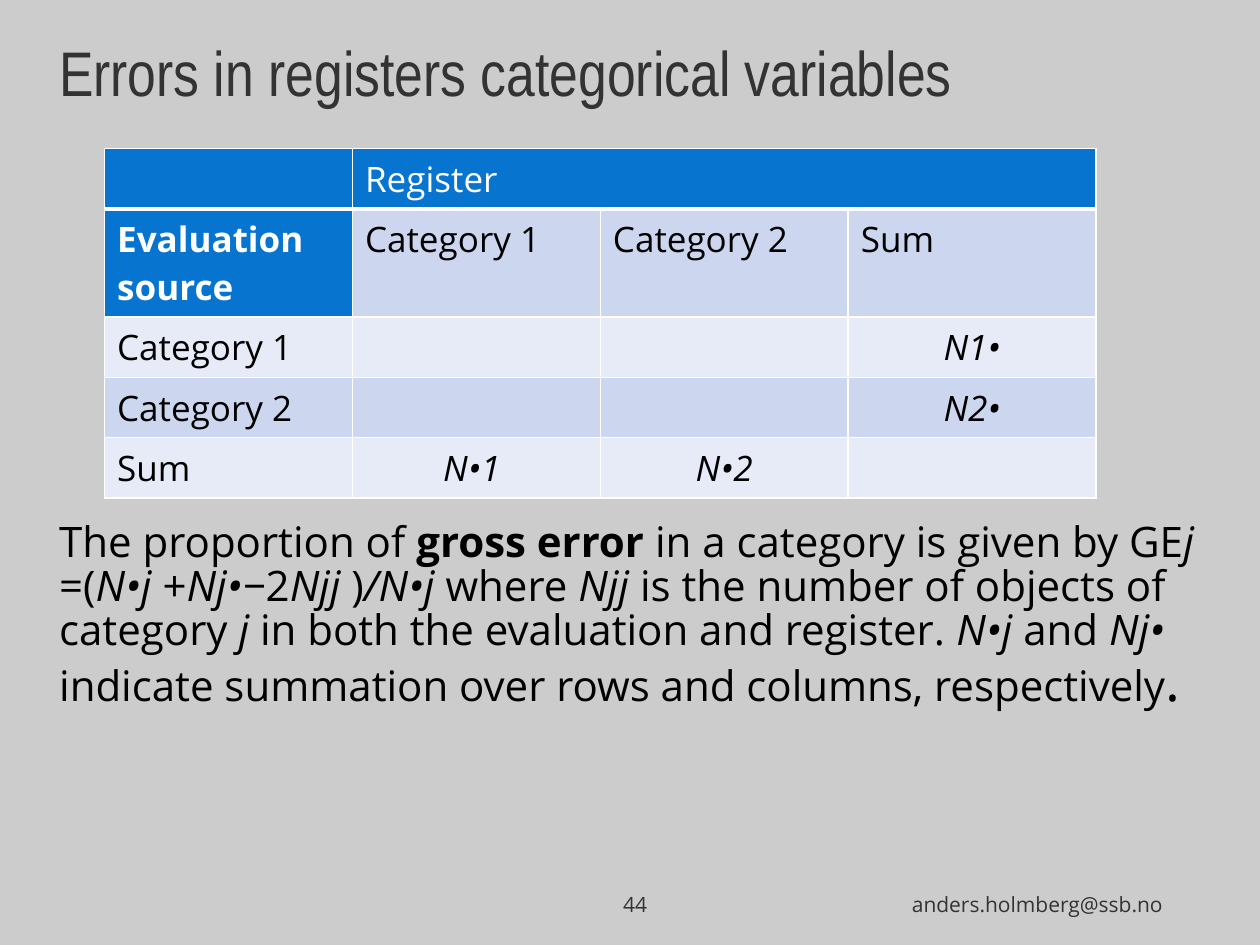
from lxml import etree
from pptx import Presentation
from pptx.dml.color import RGBColor
from pptx.enum import text
from pptx.oxml.ns import qn
from pptx.util import Inches, Pt

COLORS = {
    "background": "CCCCCC", "grey": "333333", "black": "000000",
    "white": "FFFFFF", "header": "0774D0", "band": "CCD6EE",
    "light": "E7EBF7",
}
LEFT, CENTER, RIGHT = text.PP_ALIGN.LEFT, text.PP_ALIGN.CENTER, text.PP_ALIGN.RIGHT


def color(name):
    return RGBColor.from_string(COLORS[name])


class SlideBuilder:
    title_font = "Arial Narrow"
    body_font = "Open Sans"

    def __init__(self, presentation):
        self.slide = presentation.slides.add_slide(presentation.slide_layouts[5])
        fill = self.slide.background.fill
        fill.solid()
        fill.fore_color.rgb = color("background")

    def format_font(self, font, size, color_name, name=None, bold=False, italic=False):
        font.name = name or self.body_font
        font.size = Pt(size)
        font.color.rgb = color(color_name)
        font.bold, font.italic = bold, italic

    def set_frame(self, frame, insets, anchor):
        frame.word_wrap = True
        frame.auto_size = text.MSO_AUTO_SIZE.NONE
        frame.vertical_anchor = anchor
        (frame.margin_left, frame.margin_top,
         frame.margin_right, frame.margin_bottom) = map(Inches, insets)

    def title(self, words, left, top, width, height):
        shape = self.slide.shapes.title
        shape.left, shape.top = Inches(left), Inches(top)
        shape.width, shape.height = Inches(width), Inches(height)
        frame = shape.text_frame
        self.set_frame(frame, (0.47, 0.05, 0.47, 0.05), text.MSO_ANCHOR.MIDDLE)
        frame.text = words
        paragraph = frame.paragraphs[0]
        paragraph.alignment = LEFT
        self.format_font(paragraph.runs[0].font, 36, "grey", self.title_font)

    def textbox(self, box, insets=(0.1, 0.05, 0.1, 0.05), anchor=text.MSO_ANCHOR.MIDDLE):
        shape = self.slide.shapes.add_textbox(*map(Inches, box))
        self.set_frame(shape.text_frame, insets, anchor)
        return shape.text_frame

    def body(self, runs, box):
        """Add one paragraph from (words, style, size) runs."""
        frame = self.textbox(box, (0.47, 0.16, 0.1, 0.08), text.MSO_ANCHOR.TOP)
        paragraph = frame.paragraphs[0]
        paragraph.line_spacing = 0.88
        for words, style, size in runs:
            run = paragraph.add_run()
            run.text = words
            self.format_font(run.font, size, "black",
                             bold=style == "bold", italic=style == "italic")

    def footer(self, words, box, alignment):
        frame = self.textbox(box)
        frame.text = words
        paragraph = frame.paragraphs[0]
        paragraph.alignment = alignment
        self.format_font(paragraph.runs[0].font, 12, "grey")

    def cell_borders(self, cell, bottom):
        properties = cell._tc.get_or_add_tcPr()
        for side, points in (("L", 1), ("R", 1), ("T", 1), ("B", bottom)):
            line = etree.SubElement(properties, qn(f"a:ln{side}"), w=str(Pt(points)))
            fill = etree.SubElement(line, qn("a:solidFill"))
            etree.SubElement(fill, qn("a:srgbClr"), val=COLORS["white"])

    def table(self, rows, box, row_heights):
        """Sums, which contain a dot, are centred and italic."""
        columns = len(rows[0])
        table = self.slide.shapes.add_table(len(rows), columns, *map(Inches, box)).table
        for row, height in zip(table.rows, row_heights):
            row.height = Inches(height)
        for r, row in enumerate(rows):
            for c, words in enumerate(row):
                cell = table.cell(r, c)
                is_header = r == 0 or (r, c) == (1, 0)
                is_sum = "•" in words
                self.cell_borders(cell, 3 if r == 0 else 1)
                cell.fill.solid()
                cell.fill.fore_color.rgb = color(
                    "header" if is_header else "band" if r % 2 else "light")
                cell.text_frame.text = words
                paragraph = cell.text_frame.paragraphs[0]
                paragraph.alignment = CENTER if is_sum else LEFT
                for run in paragraph.runs:
                    self.format_font(run.font, 20, "white" if is_header else "black",
                                     bold=is_header and r == 1, italic=is_sum)
        table.cell(0, 1).merge(table.cell(0, columns - 1))


def main():
    presentation = Presentation()
    presentation.slide_width, presentation.slide_height = Inches(10), Inches(7.5)
    builder = SlideBuilder(presentation)
    builder.title("Errors in registers categorical variables", 0, -0.06, 10, 1.25)

    body_runs = [
        ("The proportion of ", "", 24), ("gross error ", "bold", 24),
        ("in a category is given by GE", "", 24), ("j ", "italic", 24),
        ("=(", "", 24), ("N•j ", "italic", 24), ("+", "", 24),
        ("Nj•−", "italic", 24), ("2", "", 24), ("Njj ", "italic", 24),
        (")", "", 24), ("/N•j ", "italic", 24), ("where ", "", 24),
        ("Njj ", "italic", 24),
        ("is the number of objects of category ", "", 24), ("j ", "italic", 24),
        ("in both the evaluation and register. ", "", 24),
        ("N•j ", "italic", 24), ("and ", "", 24), ("Nj• ", "italic", 24),
        ("indicate summation over rows and columns, respectively", "", 24),
        (".", "", 32),
    ]
    builder.body(body_runs, (0, 3.98, 10, 3))
    builder.footer("44", (4.45, 6.98, 1.18, 0.39), CENTER)

    table_rows = [
        ["", "Register", "", ""],
        ["Evaluation source", "Category 1", "Category 2", "Sum"],
        ["Category 1", "", "", "N1•"],
        ["Category 2", "", "", "N2•"],
        ["Sum", "N•1 ", "N•2", ""],
    ]
    builder.table(table_rows, (0.83, 1.18, 7.87, 2.59), (0.43, 0.68, 0.46, 0.46, 0.46))
    builder.footer("anders.holmberg@ssb.no", (5.79, 6.98, 3.54, 0.39), RIGHT)
    presentation.save("out.pptx")


if __name__ == "__main__":
    main()
